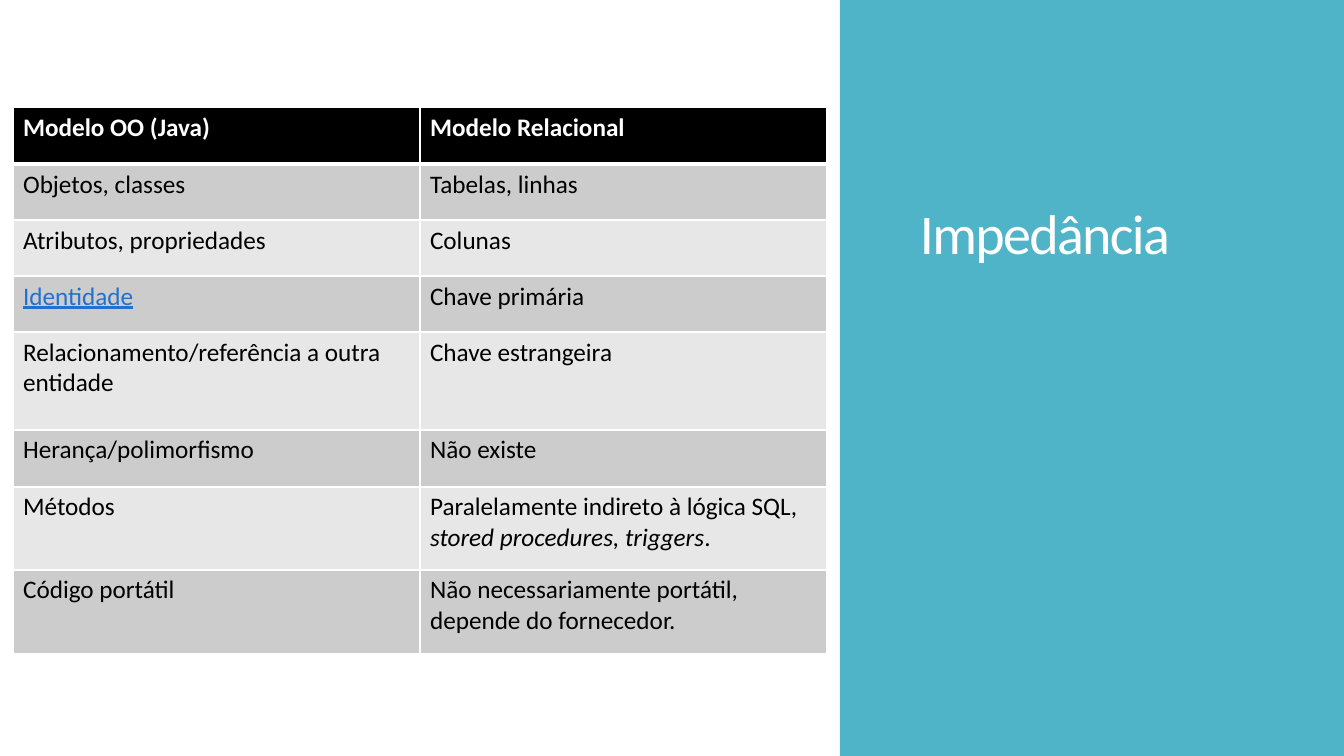
from lxml import etree
from pptx import Presentation
from pptx import util as u
from pptx.dml.color import RGBColor
from pptx.enum import shapes, text
from pptx.oxml.ns import qn

COLORS = {
    "white": "FFFFFF",
    "black": "000000",
    "panel": "50B4C8",
    "dark_band": "CCCCCC",
    "light_band": "E7E7E7",
    "link": "2370CD",
}
FONT = "Calibri"
COLUMN_WIDTH = 407
ROW_HEIGHTS = [57, 56, 56, 56, 98, 57, 83, 84]
ROWS = [
    ("Modelo OO (Java)", "Modelo Relacional"),
    ("Objetos, classes", "Tabelas, linhas"),
    ("Atributos, propriedades", "Colunas"),
    ([("Identidade", {"color": "link", "underline": True})], "Chave primária"),
    ("Relacionamento/referência a outra entidade", "Chave estrangeira"),
    ("Herança/polimorfismo", "Não existe"),
    ("Métodos", [
        ("Paralelamente indireto à lógica SQL, ", {}),
        ("stored procedures, triggers", {"italic": True}),
        (".", {}),
    ]),
    ("Código portátil", "Não necessariamente portátil, depende do fornecedor."),
]


def px(length):
    """Turn pixels into EMU."""
    return u.Emu(round(length * 914400 / 100.8))


def rgb(name):
    """Return a named colour."""
    return RGBColor.from_string(COLORS[name])


def add_run(paragraph, words, size, color, bold=False, italic=False, underline=False):
    """Append a formatted run and return it."""
    run = paragraph.add_run()
    run.text = words
    font = run.font
    font.name, font.size = FONT, u.Pt(size)
    font.bold, font.italic, font.underline = bold, italic, underline
    font.color.rgb = rgb(color)
    return run


def add_panel(slide, left, top, width, height):
    """Draw the coloured side panel."""
    shape = slide.shapes.add_shape(
        shapes.MSO_SHAPE.RECTANGLE, px(left), px(top), px(width), px(height))
    shape.shadow.inherit = False
    shape.fill.solid()
    shape.fill.fore_color.rgb = rgb("panel")
    shape.line.fill.background()


def add_title(slide, words, left, top, width, height):
    """Write the bottom-anchored title."""
    frame = slide.shapes.add_textbox(px(left), px(top), px(width), px(height)).text_frame
    frame.word_wrap = True
    frame.vertical_anchor = text.MSO_ANCHOR.BOTTOM
    paragraph = frame.paragraphs[0]
    paragraph.line_spacing = 0.85
    run = add_run(paragraph, words, 40, "white")
    run.font._element.set("spc", "-120")


def set_borders(cell, widths):
    """Give a cell white borders of the given point widths."""
    properties = cell._tc.get_or_add_tcPr()
    for side, width in widths.items():
        line = etree.SubElement(properties, qn(f"a:ln{side}"), w=str(u.Pt(width)))
        fill = etree.SubElement(line, qn("a:solidFill"))
        etree.SubElement(fill, qn("a:srgbClr"), val=COLORS["white"])


def fill_cell(cell, content, row):
    """Write and format one table cell."""
    header = row == 0
    set_borders(cell, {"L": 1, "R": 1, "T": 3 if row == 1 else 1, "B": 3 if header else 1})
    cell.fill.solid()
    band = "dark_band" if row % 2 else "light_band"
    cell.fill.fore_color.rgb = rgb("black" if header else band)
    runs = [(content, {})] if isinstance(content, str) else content
    base = {"size": 18, "color": "white" if header else "black", "bold": header}
    for words, changes in runs:
        add_run(cell.text_frame.paragraphs[0], words, **{**base, **changes})


def add_comparison(slide, left, top):
    """Build the table comparing the two models."""
    table = slide.shapes.add_table(
        len(ROWS), 2, px(left), px(top), px(2 * COLUMN_WIDTH), px(sum(ROW_HEIGHTS))).table
    table.first_row = table.horz_banding = False
    for column in table.columns:
        column.width = px(COLUMN_WIDTH)
    for row, (contents, height) in enumerate(zip(ROWS, ROW_HEIGHTS)):
        table.rows[row].height = px(height)
        for column, content in enumerate(contents):
            fill_cell(table.cell(row, column), content, row)


def main():
    """Build and save the slide."""
    presentation = Presentation()
    presentation.slide_width, presentation.slide_height = px(1344), px(756)
    slide = presentation.slides.add_slide(presentation.slide_layouts[6])
    add_panel(slide, 840, 0, 504, 756)
    add_title(slide, "Impedância", 910, 59, 373, 212)
    add_comparison(slide, 13, 107)
    presentation.save("out.pptx")


if __name__ == "__main__":
    main()
